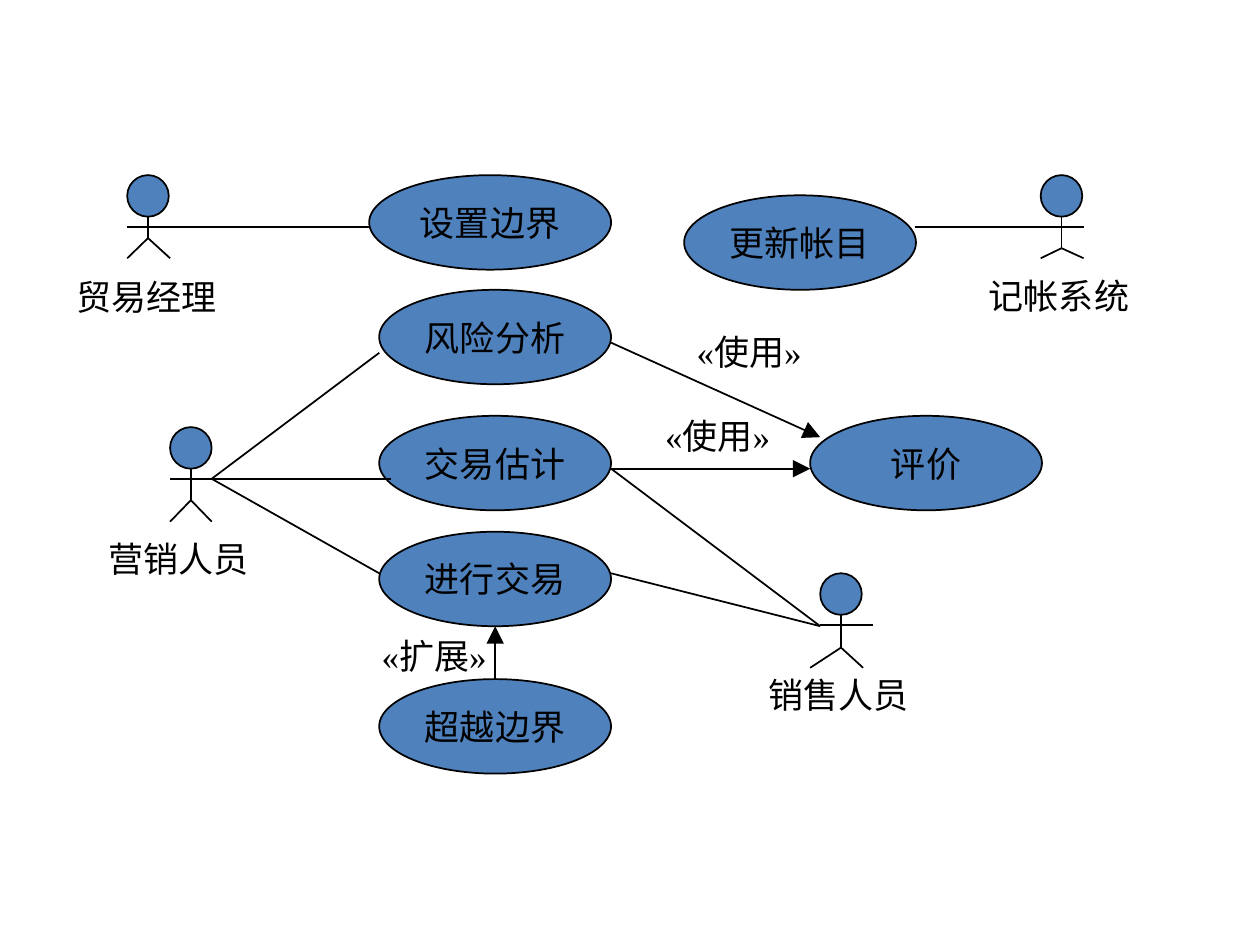
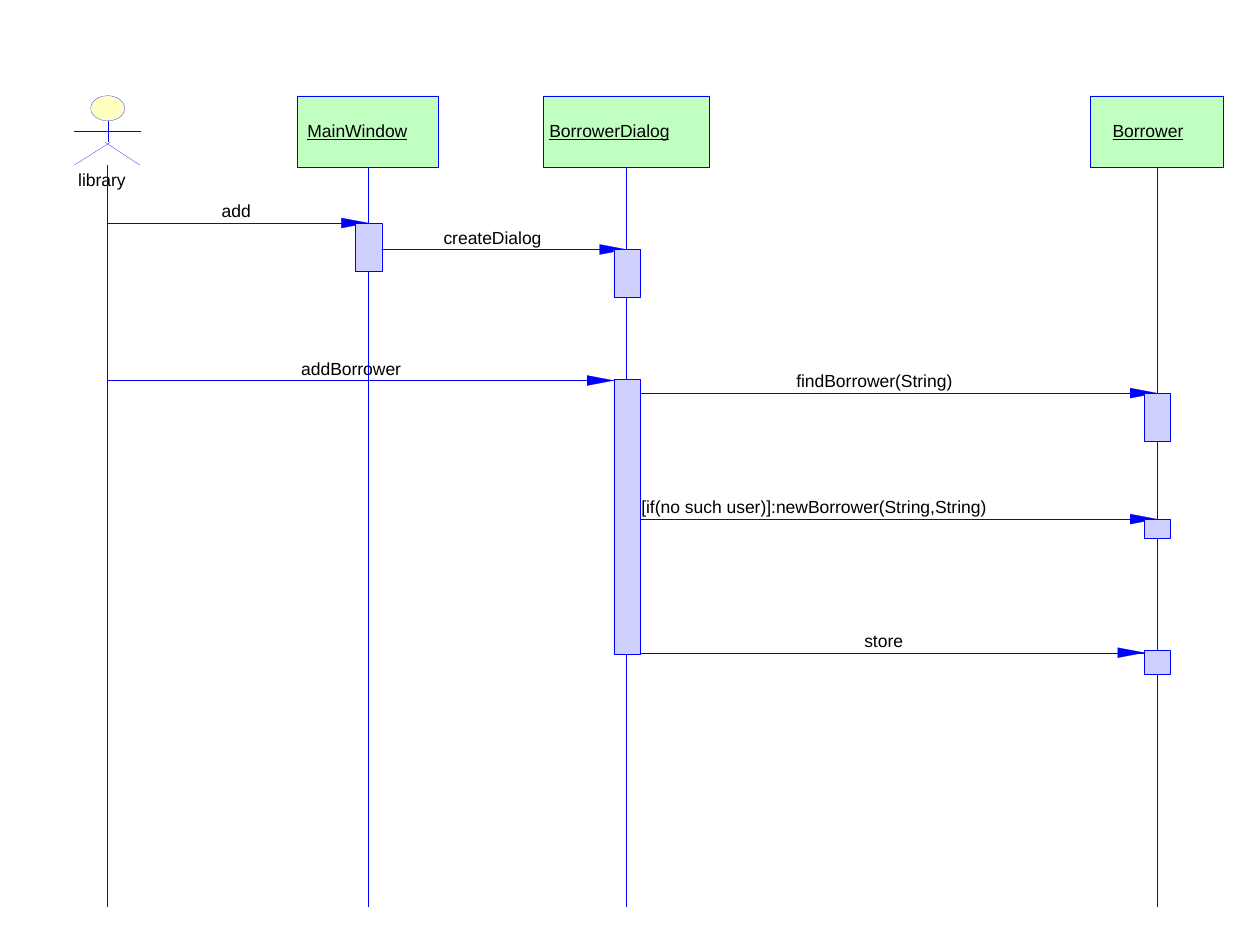
import lxml.etree
import pptx
import pptx.dml.color
import pptx.enum.dml
import pptx.enum.shapes
import pptx.enum.text
import pptx.oxml.ns
import pptx.util

Inches = pptx.util.Inches
Pt = pptx.util.Pt
Kind = pptx.enum.shapes.MSO_SHAPE
qn = pptx.oxml.ns.qn

BLACK, BLUE, STEEL = "000000", "0000FF", "4F81BD"
CREAM, GREEN, LILAC = "FFFFC0", "C0FFC0", "D0D0FF"
SERIF, SANS = "Times New Roman", "Arial"
HAIR = 0.1


def ink(code):
    return pptx.dml.color.RGBColor.from_string(code)


def write(frame, text, font, size, under=False):
    """Put one unwrapped run of text in a frame."""
    frame.word_wrap = False
    run = frame.paragraphs[0].add_run()
    run.text = text
    run.font.name = font
    run.font.size = Pt(size)
    run.font.color.rgb = ink(BLACK)
    if under:
        run.font.underline = True


def label(slide, box, text, font, size, pad=(0, 0), under=False):
    """Add a text box; pad is its side and top margin."""
    frame = slide.shapes.add_textbox(*map(Inches, box)).text_frame
    frame.margin_left = frame.margin_right = Inches(pad[0])
    frame.margin_top = frame.margin_bottom = Inches(pad[1])
    frame.auto_size = pptx.enum.text.MSO_AUTO_SIZE.SHAPE_TO_FIT_TEXT
    write(frame, text, font, size, under)


def paint(shape, fill, color, width):
    shape.shadow.inherit = False
    shape.fill.solid()
    shape.fill.fore_color.rgb = ink(fill)
    shape.line.color.rgb = ink(color)
    shape.line.width = Pt(width)


def block(slide, kind, box, fill, color, width):
    shape = slide.shapes.add_shape(kind, *map(Inches, box))
    paint(shape, fill, color, width)
    return shape


def link(slide, start, end, color, width, arrow=False, dots=False):
    """Draw a straight line between two points."""
    line = slide.shapes.add_connector(
        pptx.enum.shapes.MSO_CONNECTOR.STRAIGHT, *map(Inches, start + end))
    line.line.color.rgb = ink(color)
    line.line.width = Pt(width)
    if dots:
        line.line.dash_style = pptx.enum.dml.MSO_LINE.ROUND_DOT
    props = line.element.spPr
    if arrow:
        lxml.etree.SubElement(props.find(qn("a:ln")), qn("a:tailEnd"),
                              type="triangle", w="lg", len="lg")
    lxml.etree.SubElement(props, qn("a:effectLst"))
    return line


def actor(slide, head, arms, hip, feet, fill, color, width, cross=0):
    """Draw a stick figure: arms and feet are (left, right, y)."""
    left, top, wide, high = head
    mid = left + wide / 2
    block(slide, Kind.OVAL, head, fill, color, width)
    link(slide, (mid, top + high), (mid, hip), color, width)
    link(slide, (arms[0], arms[2]), (arms[1], arms[2]), color, width)
    link(slide, (mid + cross, hip), (feet[0], feet[2]), color, width)
    link(slide, (mid - cross, hip), (feet[1], feet[2]), color, width)


def use_case(slide, left, top, text, wide=1.84):
    oval = block(slide, Kind.OVAL, (left, top, wide, 0.75), STEEL, BLACK, 1)
    write(oval.text_frame, text, SERIF, 20)
    oval.text_frame.paragraphs[0].alignment = pptx.enum.text.PP_ALIGN.CENTER
    return oval


def draw_cases(slide):
    use_case(slide, 2.93, 1.39, "设置边界", 1.92)
    for left, top, text in [
            (3.01, 2.3, "风险分析"), (3.01, 3.3, "交易估计"),
            (3.01, 4.22, "进行交易"), (5.43, 1.55, "更新帐目"),
            (6.43, 3.3, "评价")]:
        use_case(slide, left, top, text)
    extra = use_case(slide, 3.01, 5.39, "超越边界")

    for left, top, hip, feet, reach in [
            (6.51, 4.55, 0.59, (-0.08, 0.34, 0.75), 0.42),
            (8.26, 1.39, 0.58, (0, 0.34, 0.66), 0.34),
            (1.01, 1.39, 0.5, (0, 0.34, 0.66), 0.34),
            (1.35, 3.39, 0.58, (0, 0.33, 0.75), 0.33)]:
        actor(slide, (left, top, 0.33, 0.33),
              (left, left + reach, top + 0.41), top + hip,
              (left + feet[0], left + feet[1], top + feet[2]),
              STEEL, BLACK, 1)

    seller, dealer, trade = (1.68, 3.8), (6.51, 4.97), (4.85, 3.72)
    for start, end in [
            (seller, (3.01, 2.8)), (seller, (3.1, 3.8)),
            (seller, (3.01, 4.55)), ((1.35, 1.8), (2.93, 1.8)),
            ((7.26, 1.8), (8.26, 1.8)), (trade, dealer),
            ((4.85, 4.55), dealer)]:
        link(slide, start, end, BLACK, 1)
    link(slide, (4.85, 2.72), (6.51, 3.47), BLACK, 1, arrow=True)
    link(slide, trade, (6.43, 3.72), BLACK, 1, arrow=True)
    extend = link(slide, (3.93, 5.39), (3.93, 4.97), BLACK, 1, arrow=True)
    extend.begin_connect(extra, 0)

    for left, top, wide, text in [
            (0.51, 2.14, 1.31, "贸易经理"), (0.76, 4.22, 1.31, "营销人员"),
            (7.75, 2.13, 1.31, "记帐系统"), (6, 5.3, 1.31, "销售人员"),
            (5.43, 2.57, 1.17, "«使用»"), (5.18, 3.24, 1.17, "«使用»"),
            (2.93, 4.99, 1.17, "«扩展»")]:
        label(slide, (left, top, wide, 0.44), text, SERIF, 20, (0.1, 0.05))


def message(slide, start, end, tip, y, text, left, wide):
    """Draw a call line with a slim head at tip and its name above."""
    link(slide, (start, y), (end, y), BLUE, HAIR)
    back = tip - 0.21
    pen = slide.shapes.build_freeform(Inches(tip), Inches(y))
    pen.add_line_segments([(Inches(back), Inches(y + 0.04)),
                           (Inches(back), Inches(y - 0.04))])
    paint(pen.convert_to_shape(), BLUE, BLUE, HAIR)
    label(slide, (left, y - 0.18, wide, 0.17), text, SANS, 10)


def draw_calls(slide):
    user, main_x, dialog, store = 0.85, 2.92, 4.97, 9.18
    top, foot = 1.31, 7.19
    for call in [
            (user, main_x, main_x, 1.77, "add", 1.76, 0.28),
            (main_x, dialog, dialog, 1.98, "createDialog", 3.52, 0.82),
            (user, dialog, dialog - 0.1, 3.02, "addBorrower", 2.39, 0.85),
            (dialog, store, store, 3.12, "findBorrower(String)", 6.32, 1.3),
            (dialog, store, store, 4.12,
             "[if(no such user)]:newBorrower(String,String)", 5.09, 2.8),
            (dialog, store, store - 0.1, 5.18, "store", 6.86, 0.36)]:
        message(slide, *call)

    actor(slide, (0.72, 0.76, 0.27, 0.2), (0.59, 1.12, 1.04), 1.13,
          (0.59, 1.11, top), CREAM, BLUE, HAIR, cross=0.02)
    label(slide, (0.62, 1.34, 0.42, 0.17), "library", SANS, 10)
    link(slide, (user, top), (user, foot), BLUE, HAIR, dots=True)

    for x, left, wide, text, inset, span in [
            (main_x, 2.36, 1.12, "MainWindow", 2.44, 0.85),
            (dialog, 4.31, 1.32, "BorrowerDialog", 4.36, 1.02),
            (store, 8.65, 1.06, "Borrower", 8.83, 0.62)]:
        box = block(slide, Kind.RECTANGLE, (left, 0.76, wide, 0.57),
                    GREEN, BLUE, HAIR)
        label(slide, (inset, 0.95, span, 0.17), text, SANS, 10, under=True)
        life = link(slide, (x, top), (x, foot), BLUE, HAIR, dots=True)
        life.begin_connect(box, 2)

    for x, y, high in [
            (main_x, 1.77, 0.38), (dialog, 1.98, 0.38), (dialog, 3.01, 2.18),
            (store, 3.12, 0.38), (store, 4.12, 0.15), (store, 5.16, 0.19)]:
        block(slide, Kind.RECTANGLE, (x - 0.1, y, 0.21, high), LILAC, BLUE, HAIR)


def main():
    deck = pptx.Presentation()
    deck.slide_width, deck.slide_height = Inches(10), Inches(7.5)
    blank = deck.slide_layouts[6]
    for draw in (draw_cases, draw_calls):
        draw(deck.slides.add_slide(blank))
    deck.save("out.pptx")


if __name__ == "__main__":
    main()
